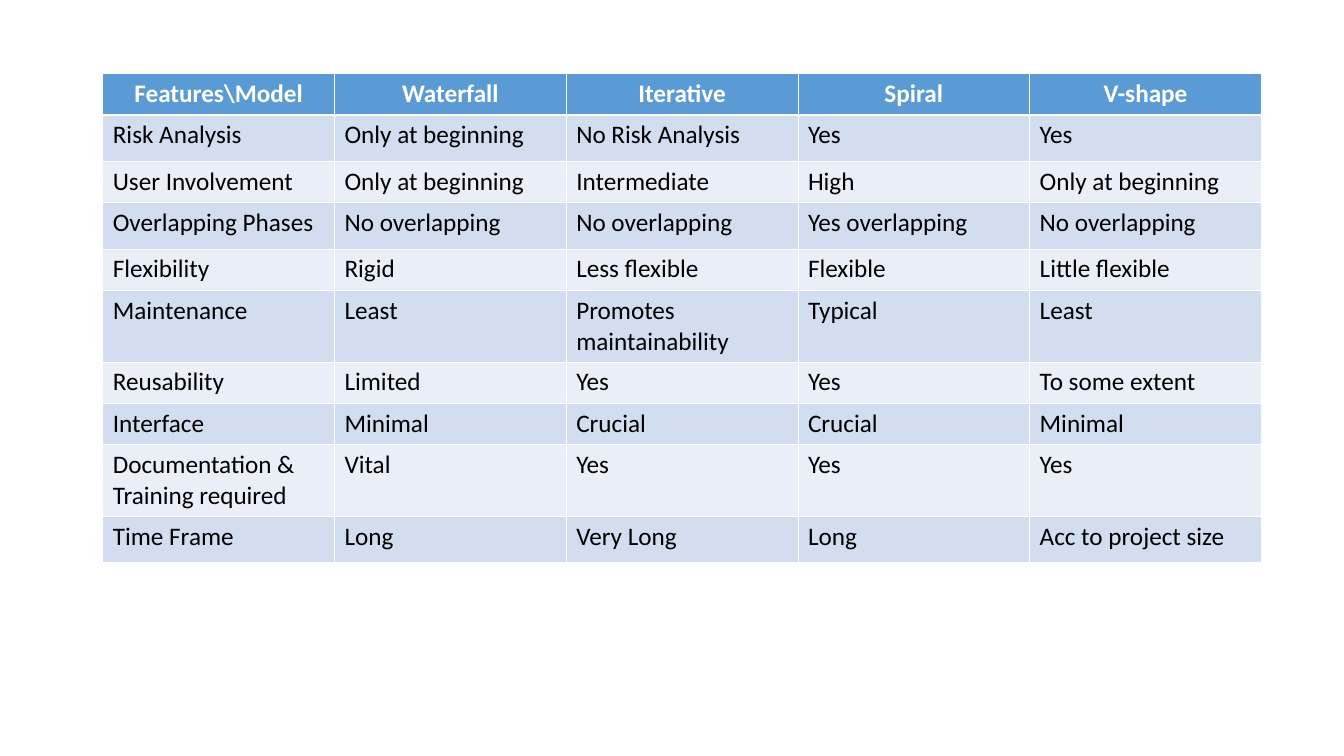
from dataclasses import dataclass

from lxml import etree
from pptx import Presentation
from pptx.dml.color import RGBColor
from pptx.enum.text import PP_ALIGN
from pptx.oxml.ns import qn
from pptx.table import _Cell
from pptx.util import Emu, Pt

CENTER, LEFT = PP_ALIGN.CENTER, PP_ALIGN.LEFT
SCALE = 9144
BLANK = 6
COLORS = {
    "head": "5B9BD5",
    "odd": "D2DEEF",
    "even": "EAEFF7",
    "line": "FFFFFF",
    "title": "FFFFFF",
    "text": "000000",
}
THIN, THICK = Pt(0.45), Pt(1.47)
WIDTH = 230
SHORT, MID, TALL = 41, 46, 71


@dataclass(frozen=True)
class Row:
    height: int
    texts: tuple[str, ...]


ROWS = [
    Row(SHORT, ("Features\\Model", "Waterfall", "Iterative", "Spiral", "V-shape")),
    Row(MID, ("Risk Analysis", "Only at beginning", "No Risk Analysis", "Yes", "Yes")),
    Row(SHORT, ("User Involvement", "Only at beginning", "Intermediate", "High",
                "Only at beginning")),
    Row(MID, ("Overlapping Phases", "No overlapping", "No overlapping",
              "Yes overlapping", "No overlapping")),
    Row(SHORT, ("Flexibility", "Rigid", "Less flexible", "Flexible", "Little flexible")),
    Row(TALL, ("Maintenance", "Least", "Promotes maintainability", "Typical", "Least")),
    Row(SHORT, ("Reusability", "Limited", "Yes", "Yes", "To some extent")),
    Row(SHORT, ("Interface", "Minimal", "Crucial", "Crucial", "Minimal")),
    Row(TALL, ("Documentation & Training required", "Vital", "Yes", "Yes", "Yes")),
    Row(MID, ("Time Frame", "Long", "Very Long", "Long", "Acc to project size")),
]


def px(size: int) -> Emu:
    return Emu(size * SCALE)


def color(name: str) -> RGBColor:
    return RGBColor.from_string(COLORS[name])


def border(cell: _Cell, top: int, bottom: int) -> None:
    props = cell._tc.get_or_add_tcPr()
    sides = {"lnL": THIN, "lnR": THIN, "lnT": top, "lnB": bottom}
    for spot, (side, width) in enumerate(sides.items()):
        line = etree.Element(qn(f"a:{side}"), w=str(int(width)))
        fill = etree.SubElement(line, qn("a:solidFill"))
        etree.SubElement(fill, qn("a:srgbClr"), val=COLORS["line"])
        props.insert(spot, line)


def write(cell: _Cell, text: str, index: int) -> None:
    head = index == 0
    cell.text = text
    cell.fill.solid()
    cell.fill.fore_color.rgb = color("head" if head else "odd" if index % 2 else "even")
    para = cell.text_frame.paragraphs[0]
    para.alignment = CENTER if head else LEFT
    para.font.name = "Calibri"
    para.font.size = Pt(18)
    para.font.bold = head
    para.font.color.rgb = color("title" if head else "text")
    border(cell, THICK if index == 1 else THIN, THICK if head else THIN)


def main() -> None:
    deck = Presentation()
    deck.slide_width, deck.slide_height = px(1334), px(750)
    slide = deck.slides.add_slide(deck.slide_layouts[BLANK])
    count = len(ROWS[0].texts)
    high = sum(row.height for row in ROWS)
    table = slide.shapes.add_table(
        len(ROWS), count, px(102), px(73), px(count * WIDTH), px(high)).table
    for column in table.columns:
        column.width = px(WIDTH)
    for index, row in enumerate(ROWS):
        table.rows[index].height = px(row.height)
        for place, text in enumerate(row.texts):
            write(table.cell(index, place), text, index)
    deck.save("out.pptx")


if __name__ == "__main__":
    main()
